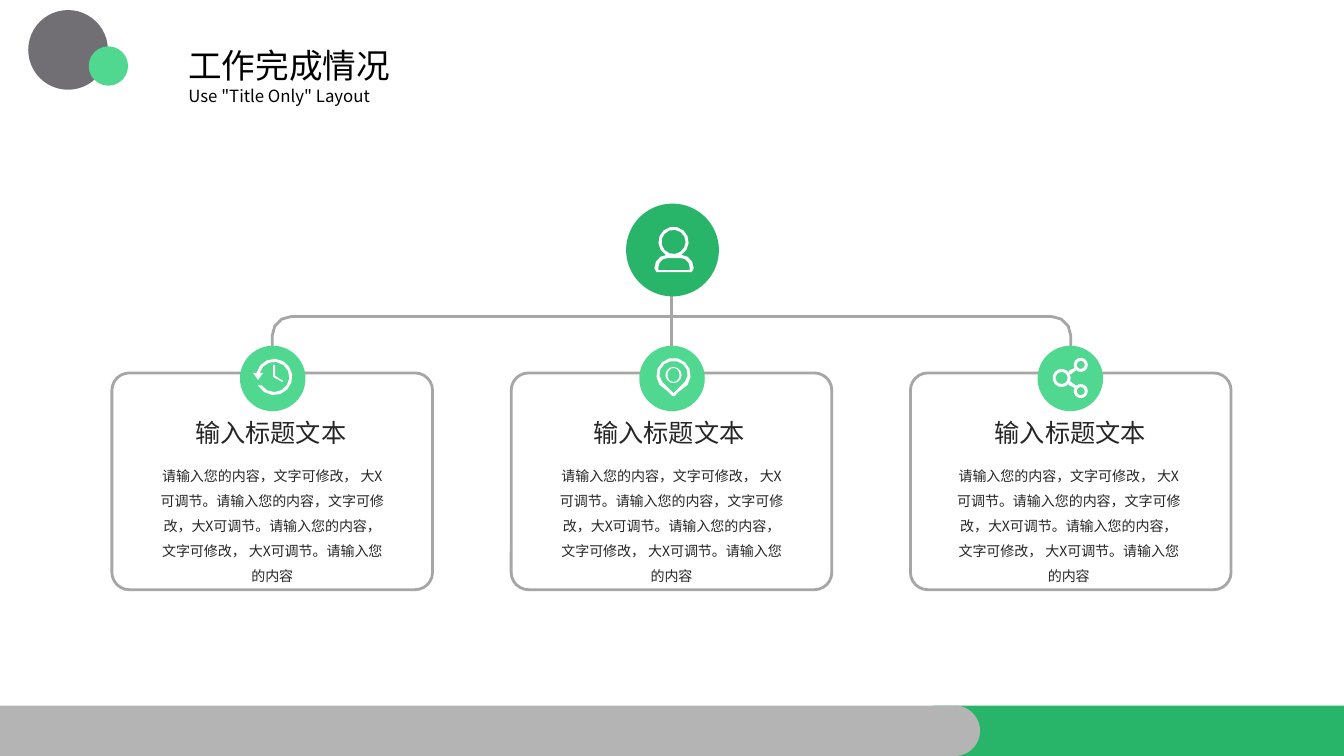
from dataclasses import dataclass
from math import cos, radians, sin

from lxml import etree
from pptx import Presentation
from pptx import util as u
from pptx.dml.color import RGBColor
from pptx.enum import shapes, text
from pptx.oxml.ns import qn

PX = 9144  # EMU in one px, 100 px to the inch
KIND = shapes.MSO_SHAPE


@dataclass(frozen=True)
class Theme:
    font: str = "Noto Sans CJK SC"
    green: str = "28B56A"
    mint: str = "50D890"
    dark: str = "716F73"
    bar: str = "B4B4B4"
    line: str = "A6A6A6"
    icon: str = "FFFFFF"
    black: str = "000000"
    ink: str = "262626"
    title: int = 24
    heading: int = 18
    subtitle: int = 12
    body: int = 10
    stroke: int = 2


T = Theme()


def arc(cx, cy, rx, ry, start=0, end=360):
    """Points along an ellipse, in px; angles in degrees, clockwise from the right."""
    steps = max(3, abs(end - start) // 26)
    angles = [radians(start + (end - start) * i / steps) for i in range(steps + 1)]
    return [(cx + rx * cos(a), cy + ry * sin(a)) for a in angles]


def style(sp, fill=None, line=None):
    sp.shadow.inherit = False
    if fill:
        sp.fill.solid()
        sp.fill.fore_color.rgb = RGBColor.from_string(fill)
    else:
        sp.fill.background()
    if line:
        sp.line.color.rgb = RGBColor.from_string(line)
        sp.line.width = u.Pt(T.stroke)
    else:
        sp.line.fill.background()


prs = Presentation()
prs.slide_width, prs.slide_height = 1333 * PX, 750 * PX
s = prs.slides.add_slide(prs.slide_layouts[6])

# Cards: left edges of card, icon circle, heading and body
columns = [(111, 238, 182, 156), (507, 634, 577, 552), (903, 1029, 975, 946)]
heading = "输入标题文本"
body = (
    "请输入您的内容，文字可修改， 大X可调节。请输入您的内容，文字可修改，大X可调节。"
    "请输入您的内容，文字可修改， 大X可调节。请输入您的内容"
)

# Footer bars, corner dots and cards
plain = [
    (KIND.ROUNDED_RECTANGLE, (904, 700, 478, 50), 0.5, T.green, None),
    (KIND.ROUNDED_RECTANGLE, (-46, 700, 1018, 50), 0.5, T.bar, None),
    (KIND.FLOWCHART_CONNECTOR, (28, 10, 79, 79), None, T.dark, None),
    (KIND.FLOWCHART_CONNECTOR, (88, 46, 39, 39), None, T.mint, None),
]
plain += [(KIND.ROUNDED_RECTANGLE, (x, 370, 318, 215), 0.08, None, T.line)
          for x, *_ in columns]
cards = []
for kind, box, radius, fill, line in plain:
    sp = s.shapes.add_shape(kind, *(v * PX for v in box))
    style(sp, fill, line)
    if radius:
        sp.adjustments[0] = radius
    if line:
        cards.append(sp)

# Stem from the top circle to the middle card
stem = s.shapes.add_connector(
    shapes.MSO_CONNECTOR.STRAIGHT, 666 * PX, 293 * PX, 666 * PX, 370 * PX)
stem.end_connect(cards[1], 0)
stem.line.color.rgb = RGBColor.from_string(T.line)
stem.line.width = u.Pt(T.stroke)
etree.SubElement(stem._element.spPr, qn("a:effectLst"))

# Outlines, each a list of contours in px
bracket = [[(270, 370), *arc(289, 333, 19, 19, 180, 270),
            *arc(1043, 333, 19, 19, 270, 360), (1062, 370)]]
person = [
    arc(668, 240, 15, 15, 122, 418) + arc(676, 266, 12, 13, 270, 360)
    + [(686, 270), (651, 270)] + arc(661, 266, 12, 13, 180, 270),
    arc(668, 240, 12, 12),
    arc(662, 265, 9, 9, 180, 270) + arc(675, 265, 9, 9, 270, 360)
    + [(684, 268), (653, 268)],
]
clock = [
    [(251, 370), (256, 377), (261, 370)] + arc(272, 374, 15, 15, 195, 505)
    + [(256, 382)] + arc(272, 374, 18, 18, 510, 193),
    [(271, 362), (271, 374), (280, 379), (281, 378), (273, 373), (273, 362)],
]
pin = [
    arc(668, 372, 17, 17, 145, 395) + [(674, 388), (669, 393), (667, 393), (662, 388)],
    arc(668, 371, 14, 13, 145, 395) + [(672, 386), (668, 390), (664, 386)],
    arc(668, 372, 8, 8),
    arc(668, 372, 6, 7),
]
link = [(1060, 368), (1066, 365), (1068, 367), (1061, 372)]
share = [link, [(x, 750 - y) for x, y in link]]
for cx, cy, outer, inner in [(1053, 375, 9, 6), (1072, 362, 7, 4), (1072, 388, 7, 4)]:
    share += [arc(cx, cy, outer, outer), arc(cx, cy, inner, inner)]

# Bracket, then every circle with its icon
circles = [(621, 202, 92, T.green)] + [(x, 343, 65, T.mint) for _, x, *_ in columns]
badges = [(None, bracket)] + list(zip(circles, [person, clock, pin, share]))
for circle, contours in badges:
    if circle:
        x, y, size, fill = circle
        sp = s.shapes.add_shape(KIND.OVAL, x * PX, y * PX, size * PX, size * PX)
        style(sp, fill)
    outlines = [[(x * PX, y * PX) for x, y in c] for c in contours]
    fb = s.shapes.build_freeform(*outlines[0][0])
    for i, points in enumerate(outlines):
        if i:
            fb.move_to(*points[0])
        fb.add_line_segments(points[1:], close=bool(circle))
    sp = fb.convert_to_shape()
    if circle:
        style(sp, T.icon)
    else:
        style(sp, line=T.line)

# Text: box, wording, size, colour, whether centred without insets, line spacing
labels = [
    ((177, 40, 390, 50), "工作完成情况", T.title, T.black, False, None),
    ((177, 80, 390, 30), 'Use "Title Only" Layout', T.subtitle, T.black, False, None),
]
for _, _, heading_x, body_x in columns:
    labels += [
        ((heading_x, 414, 173, 30), heading, T.heading, T.ink, True, None),
        ((body_x, 455, 228, 126), body, T.body, T.ink, True, 1.5),
    ]
for box, words, size, color, centred, spacing in labels:
    tf = s.shapes.add_textbox(*(v * PX for v in box)).text_frame
    tf.word_wrap = True
    tf.auto_size = text.MSO_AUTO_SIZE.SHAPE_TO_FIT_TEXT
    p = tf.paragraphs[0]
    p.text = words
    if centred:
        tf.margin_left = tf.margin_right = tf.margin_top = tf.margin_bottom = 0
        p.alignment = text.PP_ALIGN.CENTER
    if spacing:
        p.line_spacing = spacing
    p.font.size = u.Pt(size)
    p.font.color.rgb = RGBColor.from_string(color)
    p.font.name = T.font
    etree.SubElement(p._p.pPr.find(qn("a:defRPr")), qn("a:ea"), typeface=T.font)

prs.save("out.pptx")
